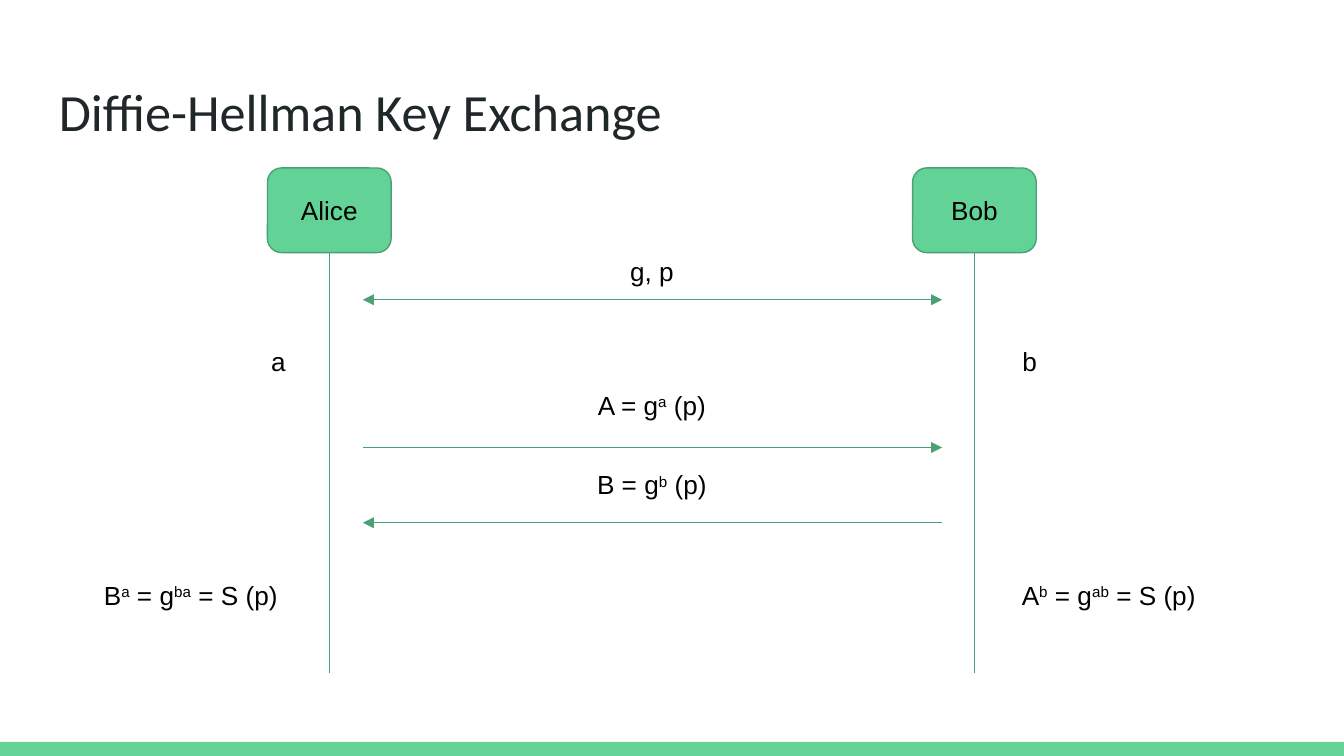
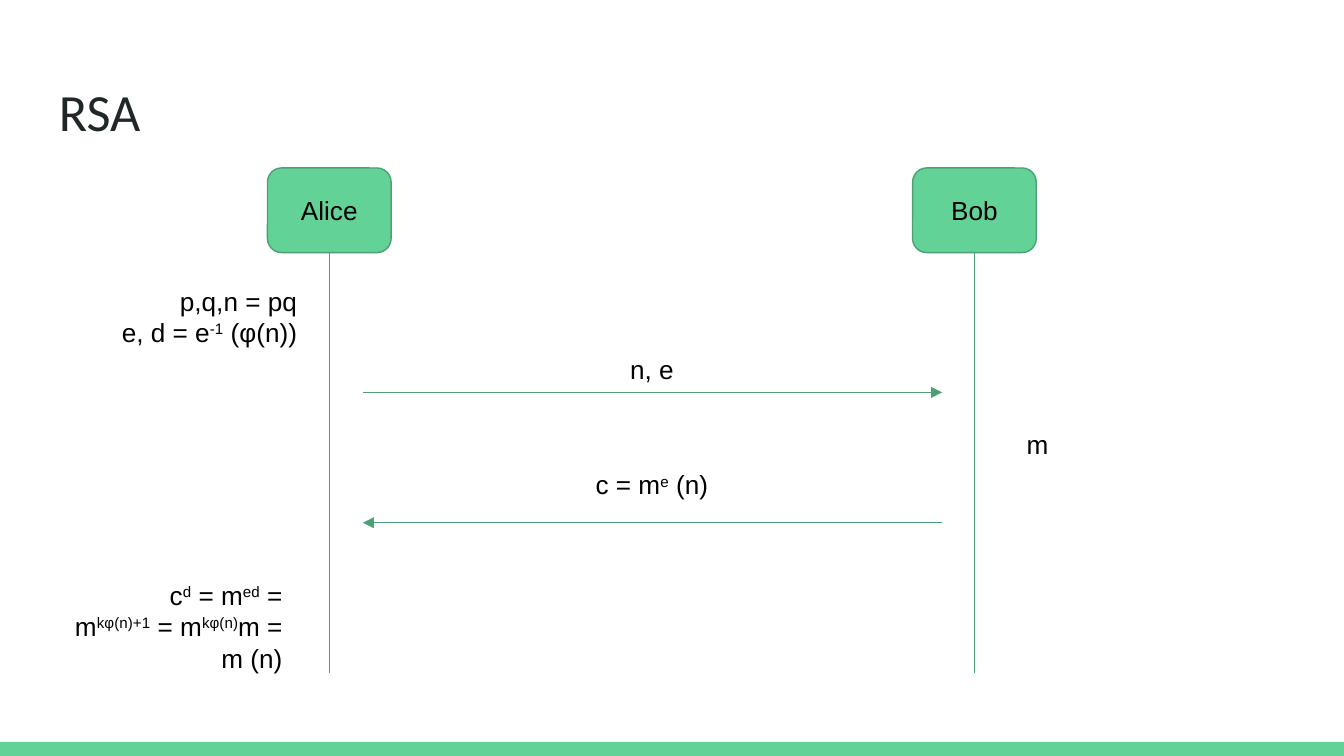
from dataclasses import dataclass
from typing import NamedTuple

from lxml.etree import SubElement as Sub
from pptx import Presentation
from pptx.dml.color import RGBColor as Color
from pptx.enum.shapes import MSO_CONNECTOR as Link, MSO_SHAPE as Form
from pptx.enum.text import MSO_ANCHOR as Anchor, PP_ALIGN as Align
from pptx.oxml.ns import qn
from pptx.shapes.autoshape import Shape
from pptx.shapes.connector import Connector
from pptx.slide import Slide
from pptx.util import Inches, Length, Pt

COLS, ROWS = 100, 56.25
WIDTH = Inches(10)
CELL = WIDTH / COLS


class Box(NamedTuple):
    """A frame in grid columns and rows."""
    col: float
    row: float
    wide: float
    high: float


class Font(NamedTuple):
    """A face with its size and colour."""
    face: str
    size: float
    color: str


@dataclass(frozen=True)
class Theme:
    """Colours and type shared by all slides."""
    paper: str = "FFFFFF"
    fill: str = "63D297"
    edge: str = "4BA173"
    line: float = 0.75
    title: Font = Font("Calibri", 28, "202729")
    body: Font = Font("Arial", 14, "000000")


@dataclass(frozen=True)
class Party:
    """One side of the exchange, centred on a column."""
    name: str
    col: float


@dataclass(frozen=True)
class Arrow:
    """A message line with heads to the left or right."""
    row: float
    left: bool = False
    right: bool = False


@dataclass(frozen=True)
class Note:
    """Text lines, where every second part between bars is raised."""
    box: Box
    lines: tuple[str, ...]
    align: Align = Align.CENTER
    anchor: Anchor = Anchor.TOP


@dataclass(frozen=True)
class Scheme:
    """The contents of one protocol slide."""
    title: str
    arrows: tuple[Arrow, ...]
    notes: tuple[Note, ...]


def label(row: float, text: str) -> Note:
    """Make a message label midway between the parties."""
    wide = 12.9
    mid = sum(party.col for party in PARTIES) / 2
    return Note(Box(mid - wide / 2, row, wide, 2.7), (text,), anchor=Anchor.MIDDLE)


THEME = Theme()
PARTIES = (Party("Alice", 24.5), Party("Bob", 72.5))
NODE_TOP, NODE_WIDE, NODE_HIGH = 12.5, 9.2, 6.3
LIFE_END = 50.1
ARROW_FROM, ARROW_TO = 27, 70.1
TITLE = Box(3.4, 4.9, 93.2, 6.3)
BAND = Box(0, ROWS - 1.05, COLS, 1.05)

SCHEMES = (
    Scheme(
        "Diffie-Hellman Key Exchange",
        (Arrow(22.3, True, True), Arrow(33.3, right=True), Arrow(38.9, left=True)),
        (
            label(18.8, "g, p"),
            Note(Box(19.2, 24.7, 4.3, 3.8), ("a",), Align.LEFT),
            Note(Box(75.1, 24.7, 4.3, 3.8), ("b",), Align.LEFT),
            label(28.8, "A = g|a| (p)"),
            label(34.7, "B = g|b| (p)"),
            Note(Box(6.5, 42.1, 15.4, 3.8), ("B|a| = g|ba| = S (p)",)),
            Note(Box(74.8, 42.1, 15.4, 3.8), ("A|b| = g|ab| = S (p)",)),
        ),
    ),
    Scheme(
        "RSA",
        (Arrow(29.2, right=True), Arrow(38.9, left=True)),
        (
            Note(Box(6.5, 20.2, 16.6, 8.1),
                 ("p,q,n = pq", "e, d = e|-1| (φ(n))"), Align.RIGHT),
            label(26.1, "n, e"),
            label(34.7, "c = m|e| (n)"),
            Note(Box(1.2, 42.1, 20.8, 10.4),
                 ("c|d| = m|ed| =", "m|kφ(n)+1| = m|kφ(n)|m =", "m (n)"), Align.RIGHT),
            Note(Box(73.2, 30.9, 8, 3.8), ("m",)),
        ),
    ),
)


def span(cells: float) -> Length:
    """Turn grid cells into a length."""
    return Length(round(cells * CELL))


def frame(box: Box) -> tuple[Length, ...]:
    """Turn a grid box into lengths."""
    return tuple(span(side) for side in box)


def write(shape: Shape, lines: tuple[str, ...], font: Font,
          align: Align, anchor: Anchor) -> None:
    """Fill a shape with lines of text."""
    text = shape.text_frame
    text.word_wrap = True
    text.vertical_anchor = anchor
    text.margin_left = text.margin_right = span(1)
    text.margin_top = text.margin_bottom = span(1)
    for rank, line in enumerate(lines):
        para = text.add_paragraph() if rank else text.paragraphs[0]
        para.alignment = align
        para.font.name, para.font.size = font.face, Pt(font.size)
        para.font.color.rgb = Color.from_string(font.color)
        for turn, part in enumerate(line.split("|")):
            run = para.add_run()
            run.text = part
            if turn % 2:
                run._r.get_or_add_rPr().set("baseline", "30000")


def add_note(slide: Slide, note: Note, font: Font = THEME.body) -> None:
    """Place a text box."""
    shape = slide.shapes.add_textbox(*frame(note.box))
    write(shape, note.lines, font, note.align, note.anchor)


def add_form(slide: Slide, form: Form, box: Box) -> Shape:
    """Place a flat shape in the theme fill."""
    shape = slide.shapes.add_shape(form, *frame(box))
    shape.shadow.inherit = False
    shape.fill.solid()
    shape.fill.fore_color.rgb = Color.from_string(THEME.fill)
    return shape


def add_line(slide: Slide, start: tuple[float, float],
             end: tuple[float, float]) -> Connector:
    """Place a thin line without shadow."""
    ends = (span(side) for side in (*start, *end))
    line = slide.shapes.add_connector(Link.STRAIGHT, *ends)
    line.line.color.rgb = Color.from_string(THEME.edge)
    line.line.width = Pt(THEME.line)
    Sub(line._element.spPr, qn("a:effectLst"))
    return line


def add_party(slide: Slide, party: Party) -> None:
    """Place a named node with its lifeline."""
    box = Box(party.col - NODE_WIDE / 2, NODE_TOP, NODE_WIDE, NODE_HIGH)
    node = add_form(slide, Form.ROUNDED_RECTANGLE, box)
    node.line.color.rgb = Color.from_string(THEME.edge)
    node.line.width = Pt(THEME.line)
    write(node, (party.name,), THEME.body, Align.CENTER, Anchor.MIDDLE)
    life = add_line(slide, (party.col, NODE_TOP + NODE_HIGH), (party.col, LIFE_END))
    life.begin_connect(node, 2)


def add_arrow(slide: Slide, arrow: Arrow) -> None:
    """Place a message arrow between the lifelines."""
    line = add_line(slide, (ARROW_FROM, arrow.row), (ARROW_TO, arrow.row))
    stroke = line._element.spPr.find(qn("a:ln"))
    for tag, shown in (("a:headEnd", arrow.left), ("a:tailEnd", arrow.right)):
        if shown:
            Sub(stroke, qn(tag), type="triangle", w="med", len="med")


def add_base(slide: Slide, title: str) -> None:
    """Set the paper, the bottom band and the title."""
    paper = slide.background.fill
    paper.solid()
    paper.fore_color.rgb = Color.from_string(THEME.paper)
    add_form(slide, Form.RECTANGLE, BAND).line.fill.background()
    add_note(slide, Note(TITLE, (title,), Align.LEFT), THEME.title)


def main() -> None:
    """Build and save the deck."""
    deck = Presentation()
    deck.slide_width, deck.slide_height = WIDTH, span(ROWS)
    for scheme in SCHEMES:
        slide = deck.slides.add_slide(deck.slide_layouts[6])
        add_base(slide, scheme.title)
        for party in PARTIES:
            add_party(slide, party)
        for arrow in scheme.arrows:
            add_arrow(slide, arrow)
        for note in scheme.notes:
            add_note(slide, note)
    deck.save("out.pptx")


if __name__ == "__main__":
    main()
